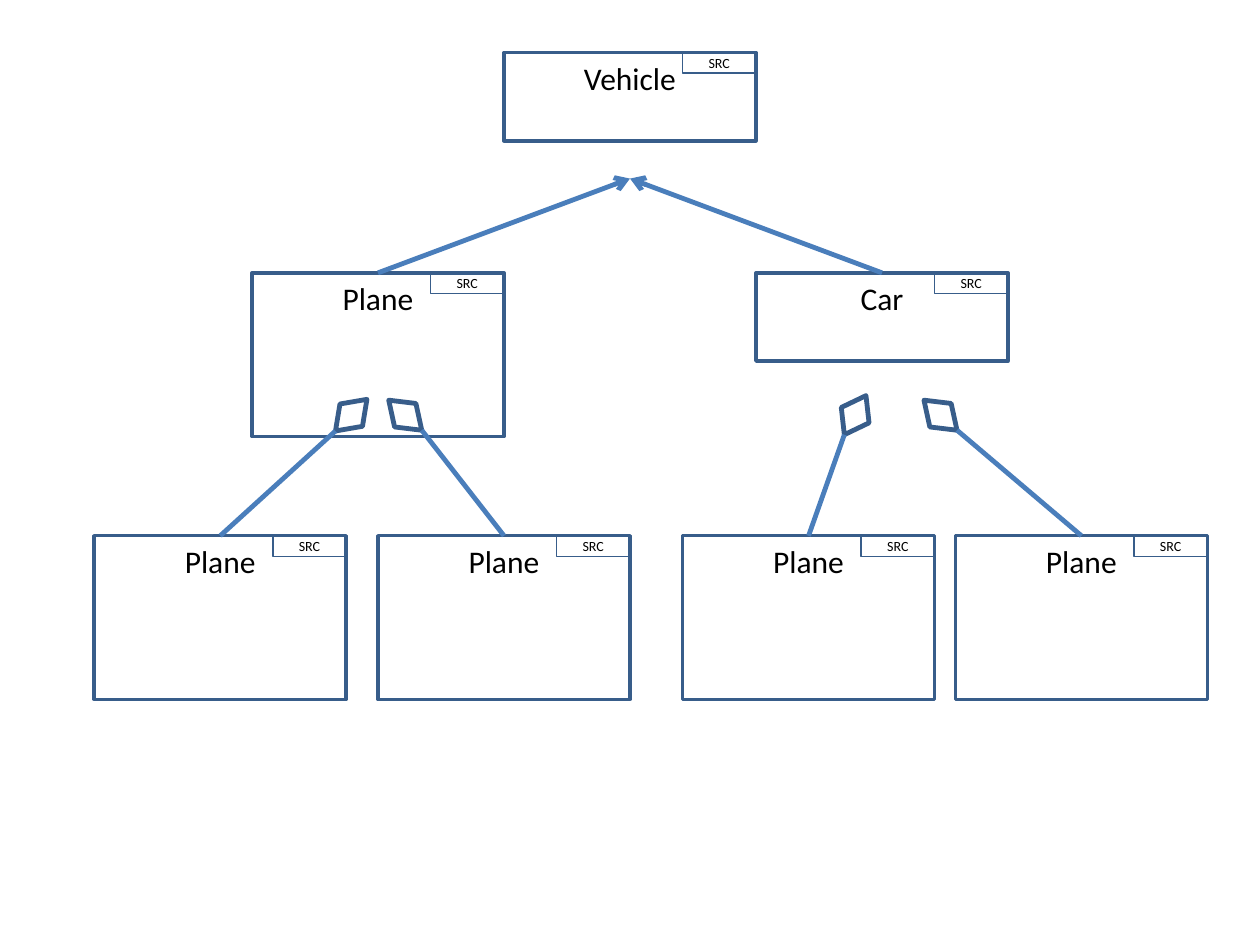
import math
from dataclasses import dataclass

from lxml import etree
from pptx import Presentation
from pptx import util as u
from pptx.dml.color import RGBColor
from pptx.enum import shapes, text
from pptx.oxml.ns import qn


@dataclass(frozen=True)
class Theme:
    font: str = "Calibri"
    ink: RGBColor = RGBColor(0x00, 0x00, 0x00)
    outline: RGBColor = RGBColor(0x38, 0x5D, 0x8A)
    link: RGBColor = RGBColor(0x4A, 0x7E, 0xBB)
    name_size: float = 18
    tag_size: float = 8
    box_line: float = 2
    tag_line: float = 1
    link_line: float = 2.75


class ClassDiagram:
    """Draws class boxes and their relations; all lengths in centimetres."""

    box_width = 5.08
    tag_width, tag_height = 1.48, 0.42
    diamond_width, diamond_height = 0.64, 0.9

    def __init__(self, slide, theme):
        self.slide = slide
        self.theme = theme

    def outline(self, kind, left, top, width, height, line_width):
        shape = self.slide.shapes.add_shape(
            kind, u.Cm(left), u.Cm(top), u.Cm(width), u.Cm(height))
        shape.shadow.inherit = False
        shape.fill.background()
        shape.line.color.rgb = self.theme.outline
        shape.line.width = u.Pt(line_width)
        return shape

    def label(self, shape, wording, size, anchor):
        frame = shape.text_frame
        frame.text = wording
        frame.word_wrap = True
        frame.vertical_anchor = anchor
        paragraph = frame.paragraphs[0]
        paragraph.alignment = text.PP_ALIGN.CENTER
        font = paragraph.runs[0].font
        font.name, font.size = self.theme.font, u.Pt(size)
        font.color.rgb = self.theme.ink

    def class_box(self, name, left, top, height):
        """A class with its SRC tag in the top right corner."""
        rectangle = shapes.MSO_SHAPE.RECTANGLE
        box = self.outline(rectangle, left, top, self.box_width, height,
                           self.theme.box_line)
        self.label(box, name, self.theme.name_size, text.MSO_ANCHOR.TOP)
        tag = self.outline(rectangle, left + self.box_width - self.tag_width, top,
                           self.tag_width, self.tag_height, self.theme.tag_line)
        self.label(tag, "SRC", self.theme.tag_size, text.MSO_ANCHOR.MIDDLE)
        return box

    def link(self, box, x, y, arrow=False):
        """A line from the top of a box to a point."""
        connector = self.slide.shapes.add_connector(
            shapes.MSO_CONNECTOR.STRAIGHT, 0, 0, u.Cm(x), u.Cm(y))
        connector.begin_connect(box, 0)
        connector.line.color.rgb = self.theme.link
        connector.line.width = u.Pt(self.theme.link_line)
        if arrow:
            line = connector.line._get_or_add_ln()
            etree.SubElement(line, qn("a:tailEnd"), type="arrow")
        etree.SubElement(connector._element.spPr, qn("a:effectLst"))

    def aggregation(self, box, left, top, rotation):
        """A tilted diamond, joined at its lower tip to the part's box."""
        width, height = self.diamond_width, self.diamond_height
        diamond = self.outline(shapes.MSO_SHAPE.DIAMOND, left, top, width, height,
                               self.theme.link_line)
        diamond.rotation = rotation
        angle = math.radians(rotation)
        self.link(box,
                  left + width / 2 - height / 2 * math.sin(angle),
                  top + height / 2 + height / 2 * math.cos(angle))


def main():
    presentation = Presentation()
    presentation.slide_width, presentation.slide_height = u.Cm(25.4), u.Cm(19.05)
    slide = presentation.slides.add_slide(presentation.slide_layouts[6])
    diagram = ClassDiagram(slide, Theme())
    low, tall = 1.78, 3.3

    # Base class
    diagram.class_box("Vehicle", 10.16, 1.06, low)

    # Subclasses, with arrows that meet below the base class
    for name, left, height in (("Plane", 5.08, tall), ("Car", 15.24, low)):
        subclass = diagram.class_box(name, left, 5.5, height)
        diagram.link(subclass, 12.7, 3.6, arrow=True)

    # Parts: box left, diamond left, diamond rotation
    parts = ((1.9, 6.76, 44.8), (7.62, 7.85, 312.3),
             (13.76, 16.92, 29), (19.26, 18.64, 312.3))
    for left, diamond_left, rotation in parts:
        part = diagram.class_box("Plane", left, 10.8, tall)
        diagram.aggregation(part, diamond_left, 7.92, rotation)

    presentation.save("out.pptx")


if __name__ == "__main__":
    main()
